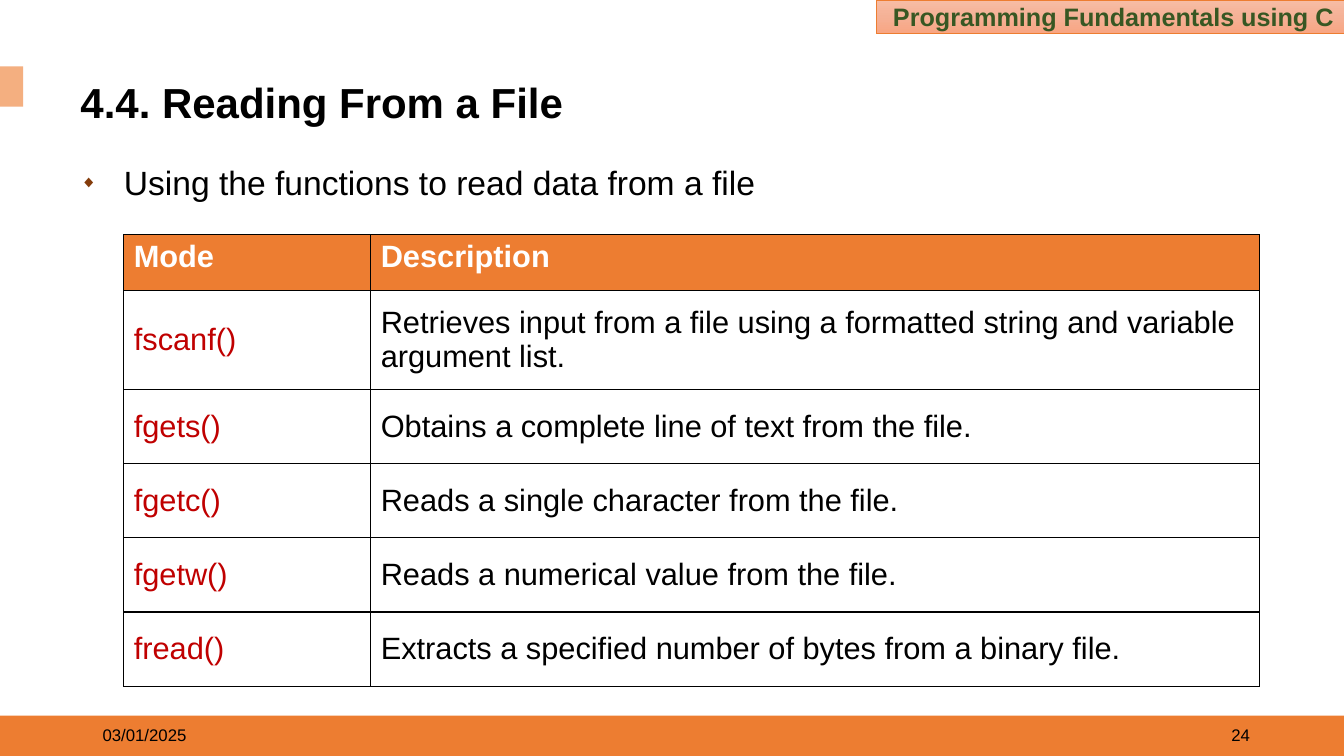
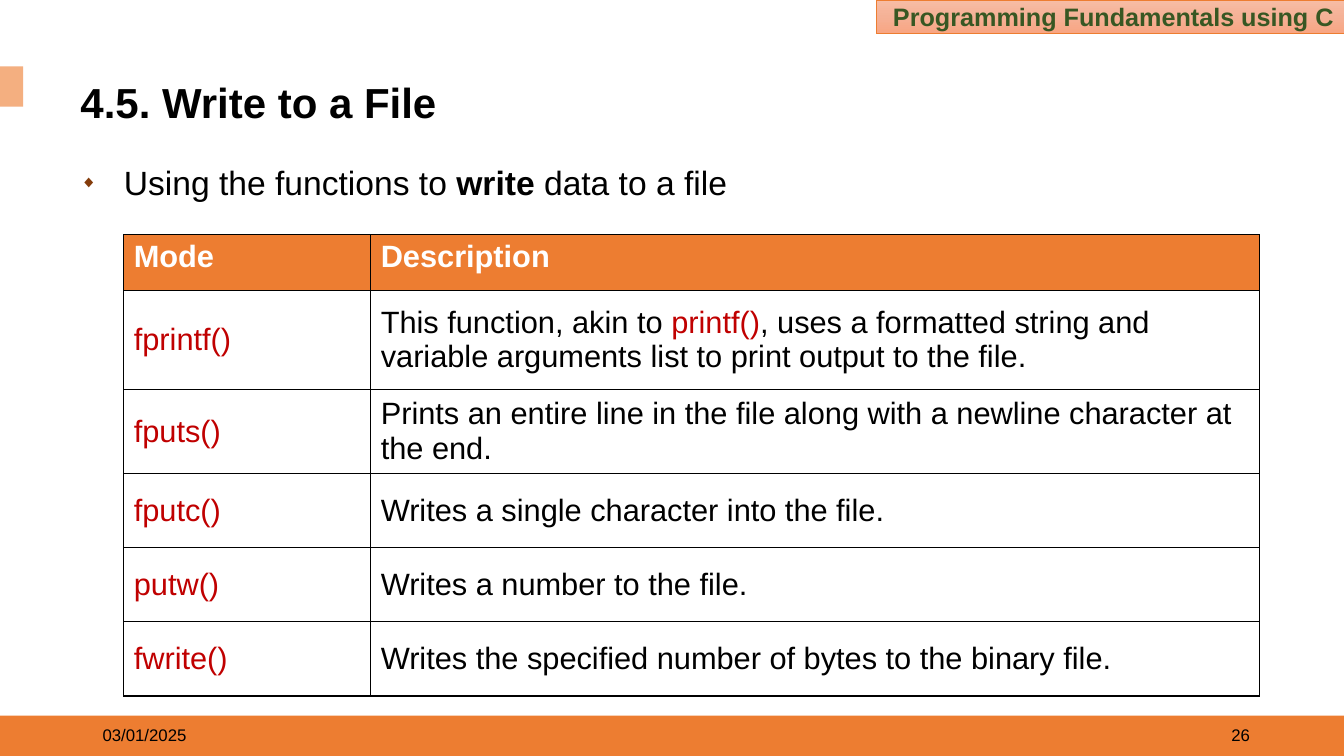
from copy import deepcopy

from lxml import etree
from pptx import Presentation
from pptx.dml.color import RGBColor
from pptx.enum.shapes import MSO_SHAPE
from pptx.enum.text import MSO_ANCHOR, PP_ALIGN
from pptx.oxml.ns import qn
from pptx.util import Pt

RECT = MSO_SHAPE.RECTANGLE
TOP, MIDDLE = MSO_ANCHOR.TOP, MSO_ANCHOR.MIDDLE
LEFT, RIGHT, JUSTIFY = PP_ALIGN.LEFT, PP_ALIGN.RIGHT, PP_ALIGN.JUSTIFY
SLIDE_W, SLIDE_H = 960, 540
FONT = "Arial"
COLORS = {
    "accent": "ED7D31",
    "tab": "F4AF80",
    "ribbon_top": "F7BDA5",
    "ribbon_mid": "F5B196",
    "ribbon_end": "F8A582",
    "course": "385723",
    "bullet": "843C0B",
    "code": "C00000",
    "text": "000000",
    "white": "FFFFFF",
}
COLUMN_WIDTHS = (176.4, 635)
ROW_HEIGHTS = (40, 70.6, 53, 53, 53, 53)


def rgb(name):
    return RGBColor.from_string(COLORS[name])


def add_xml(parent, tag, **attributes):
    return etree.SubElement(parent, qn(tag), attributes)


def add_solid(parent, color):
    add_xml(add_xml(parent, "a:solidFill"), "a:srgbClr", val=COLORS[color])


class Deck:
    """Course deck style together with the slide being built."""

    def __init__(self):
        self.presentation = Presentation()
        self.presentation.slide_width = Pt(SLIDE_W)
        self.presentation.slide_height = Pt(SLIDE_H)
        self.slide = None

    def start_slide(self, title, number):
        self.slide = self.presentation.slides.add_slide(self.presentation.slide_layouts[6])
        self.band(0, 511.2, SLIDE_W, 28.8, "accent")
        self.band(0, 47.4, 16.5, 28.8, "tab")
        self.ribbon("Programming Fundamentals using C")
        self.title(title)
        self.label(684, str(number), RIGHT)
        self.label(66.2, "03/01/2025", LEFT)

    def set_text(self, frame, runs, size, align=LEFT, anchor=MIDDLE):
        frame.word_wrap = True
        frame.vertical_anchor = anchor
        paragraph = frame.paragraphs[0]
        paragraph.alignment = align
        for words, color, bold in runs:
            run = paragraph.add_run()
            run.text = words
            run.font.name = FONT
            run.font.size = Pt(size)
            run.font.bold = bold
            run.font.color.rgb = rgb(color)
        return paragraph

    def band(self, left, top, width, height, color):
        band = self.slide.shapes.add_shape(RECT, Pt(left), Pt(top), Pt(width), Pt(height))
        band.shadow.inherit = False
        band.fill.solid()
        band.fill.fore_color.rgb = rgb(color)
        band.line.fill.background()
        return band

    def text_area(self, left, top, width, height):
        return self.slide.shapes.add_textbox(Pt(left), Pt(top), Pt(width), Pt(height))

    def ribbon(self, course):
        ribbon = self.band(625.7, 0, 334.3, 24, "ribbon_top")
        ribbon.line.color.rgb = rgb("accent")
        ribbon.line.width = Pt(0.5)
        ribbon.fill.gradient()
        ribbon.fill.gradient_angle = 270
        first_stop = ribbon.element.spPr.find(".//" + qn("a:gs"))
        middle_stop = deepcopy(first_stop)
        middle_stop.set("pos", "50000")
        first_stop.addnext(middle_stop)
        for stop, color in zip(ribbon.fill.gradient_stops, ("ribbon_top", "ribbon_mid", "ribbon_end")):
            stop.color.rgb = rgb(color)
        paragraph = self.set_text(ribbon.text_frame, [(course, "course", True)], 18, RIGHT)
        properties = paragraph.runs[0]._r.get_or_add_rPr()
        outline = add_xml(properties, "a:ln", w=str(Pt(0.75)))
        add_solid(outline, "white")
        properties.insert(0, outline)

    def title(self, words):
        title = self.text_area(50.4, 56.9, 872.6, 36.7)
        title.fill.solid()
        title.fill.fore_color.rgb = rgb("white")
        self.set_text(title.text_frame, [(words, "text", True)], 30).line_spacing = 0.9

    def label(self, left, words, align):
        label = self.text_area(left, 510.5, 216, 28.8)
        self.set_text(label.text_frame, [(words, "text", False)], 12, align)

    def bullet(self, runs):
        body = self.text_area(50.4, 103.7, 872.6, 403.2)
        paragraph = self.set_text(body.text_frame, runs, 24, JUSTIFY, TOP)
        paragraph.line_spacing = 1.3
        paragraph.space_before = Pt(10)
        properties = paragraph._p.get_or_add_pPr()
        properties.set("marL", str(Pt(31)))
        properties.set("indent", str(Pt(-31)))
        add_xml(add_xml(properties, "a:buClr"), "a:srgbClr", val=COLORS["bullet"])
        add_xml(properties, "a:buSzPct", val="50000")
        add_xml(properties, "a:buFont", typeface=FONT)
        add_xml(properties, "a:buChar", char="◆")

    def cell(self, cell, runs, anchor):
        self.set_text(cell.text_frame, runs, 22)
        cell.vertical_anchor = anchor
        cell.fill.background()
        properties = cell._tc.get_or_add_tcPr()
        for position, side in enumerate(("a:lnL", "a:lnR", "a:lnT", "a:lnB")):
            border = add_xml(properties, side, w=str(Pt(1)))
            add_solid(border, "text")
            properties.insert(position, border)

    def function_table(self, functions):
        table = self.slide.shapes.add_table(
            len(functions) + 1, len(COLUMN_WIDTHS), Pt(88.4), Pt(167.6),
            Pt(sum(COLUMN_WIDTHS)), Pt(sum(ROW_HEIGHTS)),
        ).table
        table.horz_banding = False
        for column, width in zip(table.columns, COLUMN_WIDTHS):
            column.width = Pt(width)
        for row, height in zip(table.rows, ROW_HEIGHTS):
            row.height = Pt(height)
        for column, heading in enumerate(("Mode", "Description")):
            header = table.cell(0, column)
            self.cell(header, [(heading, "white", True)], TOP)
            header.fill.solid()
            header.fill.fore_color.rgb = rgb("accent")
        for row, (function, description) in enumerate(functions, 1):
            self.cell(table.cell(row, 0), [(function, "code", False)], MIDDLE)
            runs = [(words, color, False) for words, color in description]
            self.cell(table.cell(row, 1), runs, MIDDLE)


def plain(words):
    return [(words, "text")]


def main():
    deck = Deck()

    deck.start_slide("4.4. Reading From a File", 24)
    deck.bullet([("Using the functions to read data from a file", "text", False)])
    deck.function_table([
        ("fscanf()", plain("Retrieves input from a file using a formatted string and variable argument list.")),
        ("fgets()", plain("Obtains a complete line of text from the file.")),
        ("fgetc()", plain("Reads a single character from the file.")),
        ("fgetw()", plain("Reads a numerical value from the file.")),
        ("fread()", plain("Extracts a specified number of bytes from a binary file.")),
    ])

    deck.start_slide("4.5. Write to a File", 26)
    deck.bullet([
        ("Using the functions to ", "text", False),
        ("write", "text", True),
        (" data to a file", "text", False),
    ])
    deck.function_table([
        ("fprintf()", [
            ("This function, akin to ", "text"),
            ("printf()", "code"),
            (", uses a formatted string and variable arguments list to print output to the file.", "text"),
        ]),
        ("fputs()", plain("Prints an entire line in the file along with a newline character at the end.")),
        ("fputc()", plain("Writes a single character into the file.")),
        ("putw()", plain("Writes a number to the file.")),
        ("fwrite()", plain("Writes the specified number of bytes to the binary file.")),
    ])

    deck.presentation.save("out.pptx")


if __name__ == "__main__":
    main()
